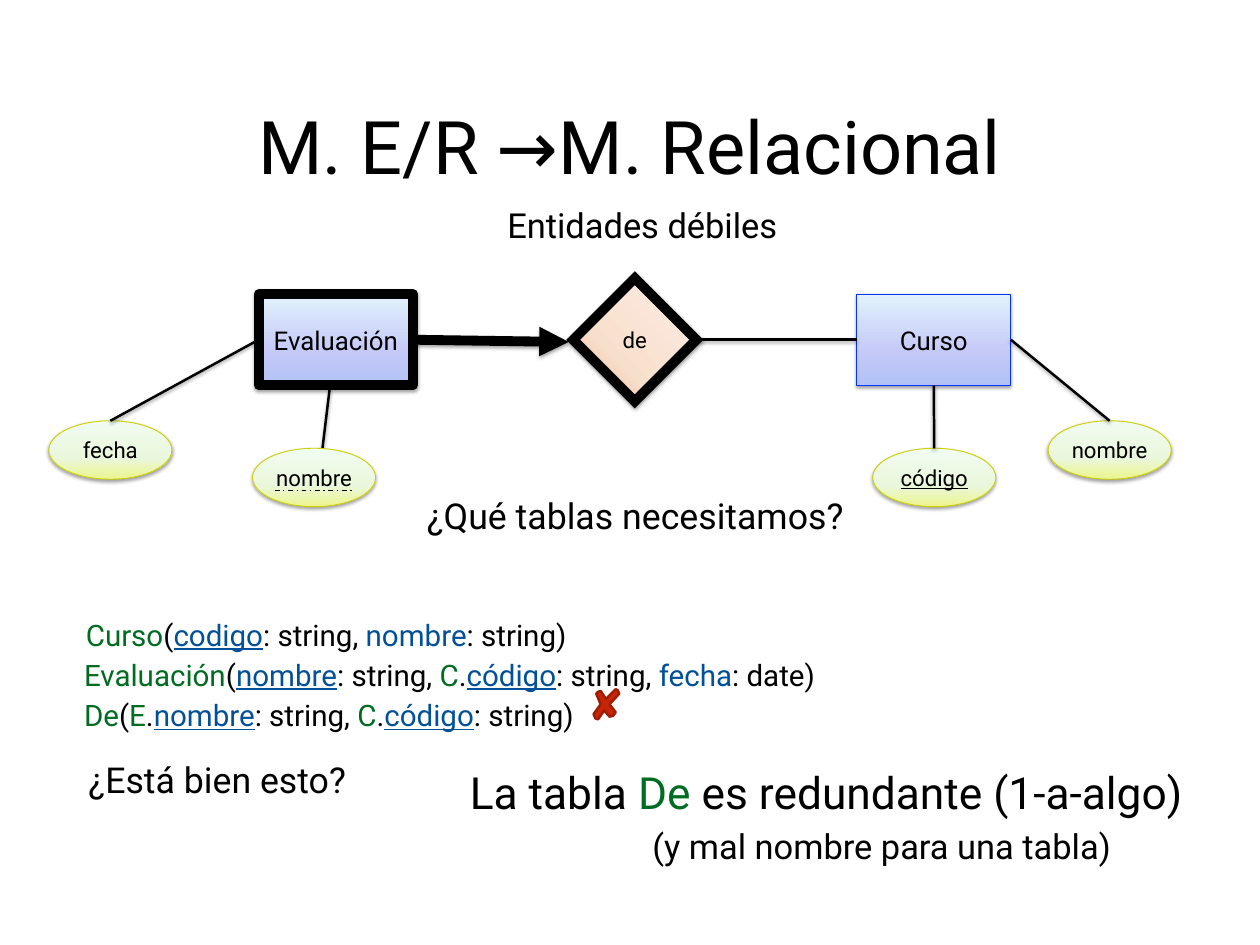
from dataclasses import dataclass

from lxml import etree
from pptx import Presentation
from pptx.dml.color import RGBColor
from pptx.enum.dml import MSO_LINE
from pptx.enum.shapes import MSO_CONNECTOR, MSO_SHAPE
from pptx.enum.text import MSO_ANCHOR, PP_ALIGN
from pptx.oxml.ns import qn
from pptx.util import Emu, Inches, Pt

RECT, OVAL, DIAMOND = MSO_SHAPE.RECTANGLE, MSO_SHAPE.OVAL, MSO_SHAPE.DIAMOND
STRAIGHT, DASH_DOT = MSO_CONNECTOR.STRAIGHT, MSO_LINE.DASH_DOT
TOP, MIDDLE = MSO_ANCHOR.TOP, MSO_ANCHOR.MIDDLE
LEFT, CENTER = PP_ALIGN.LEFT, PP_ALIGN.CENTER
SIDE_TOP, SIDE_LEFT, SIDE_BOTTOM, SIDE_RIGHT = range(4)

COLS, ROWS = 128, 96
CELL = Pt(8)
ENTITY_SIZE = (15.66, 9.27)
ATTRIBUTE_SIZE = (12.51, 5.94)
RELATION_SIZE = (12.51, 12.51)
CROSS = [(25, 0), (14, 11), (8, 2), (5, 3), (3, 5), (8, 17), (0, 28), (2, 33),
         (5, 34), (12, 24), (18, 31), (22, 30), (25, 26), (18, 17), (29, 5), (27, 1)]


@dataclass(frozen=True)
class Theme:
    font: str = "Roboto"
    ink: str = "000000"
    table: str = "006C22"
    field: str = "025099"
    entity_line: str = "0433FF"
    attribute_line: str = "CCCF00"
    cross: str = "C82506"
    cross_line: str = "A01D04"
    entity_fill: tuple = ((0, "B2C2F5"), (36, "C4C9F7"), (100, "E1F2FC"))
    relation_fill: tuple = ((0, "F5A09A"), (35, "F7E0CB"), (100, "FFEBE7"))
    attribute_fill: tuple = ((0, "ECF58E"), (36, "EAF7DC"), (100, "F1FCF1"))
    title: int = 60
    heading: int = 36
    question: int = 29
    subtitle: int = 28
    schema: int = 24
    entity: int = 21
    attribute: int = 18
    thin: float = 0.75
    dash: float = 1
    link: float = 2
    heavy: float = 8


T = Theme()


def cells(*values):
    return [Emu(round(v * CELL)) for v in values]


def plain(text):
    return text, T.ink, False


def table(text):
    return text, T.table, False


def field(text):
    return text, T.field, False


def key(text):
    return text, T.field, True


def add_runs(p, runs, size, align):
    p.alignment = align
    for text, color, underline in runs:
        r = p.add_run()
        r.text = text
        r.font.name = T.font
        r.font.size = Pt(size)
        r.font.color.rgb = RGBColor.from_string(color)
        r.font.underline = underline


def set_frame(tf, anchor, inset):
    tf.word_wrap = True
    tf.vertical_anchor = anchor
    tf.margin_left = tf.margin_right = Inches(inset)
    tf.margin_top = tf.margin_bottom = Inches(inset)


def set_line(sp, color, width):
    sp.line.color.rgb = RGBColor.from_string(color)
    sp.line.width = Pt(width)


def add_shadow(sp):
    spPr = sp._element.spPr
    effects = spPr.find(qn("a:effectLst"))
    if effects is None:
        effects = etree.SubElement(spPr, qn("a:effectLst"))
    outer = etree.SubElement(effects, qn("a:outerShdw"), blurRad=str(Pt(3)),
                             dist=str(Pt(1.6)), dir="5400000", rotWithShape="0")
    color = etree.SubElement(outer, qn("a:srgbClr"), val=T.ink)
    etree.SubElement(color, qn("a:alpha"), val="37000")


def set_gradient(sp, stops, angle):
    sp.fill.gradient()
    sp.fill.gradient_angle = angle
    gsLst = sp._element.spPr.find(".//" + qn("a:gsLst"))
    for gs in list(gsLst):
        gsLst.remove(gs)
    for share, color in stops:
        gs = etree.SubElement(gsLst, qn("a:gs"), pos=str(share * 1000))
        etree.SubElement(gs, qn("a:srgbClr"), val=color)


def add_node(s, kind, at, size, text, pt, stops, line, width, angle=90, underline=False):
    sp = s.shapes.add_shape(kind, *cells(*at, *size))
    sp.shadow.inherit = False
    set_gradient(sp, stops, angle)
    set_line(sp, line, width)
    join = qn("a:miter") if kind == DIAMOND else qn("a:round")
    etree.SubElement(sp.line._ln, join)
    add_shadow(sp)
    set_frame(sp.text_frame, MIDDLE, 0)
    add_runs(sp.text_frame.paragraphs[0], [(text, T.ink, underline)], pt, CENTER)
    return sp


def add_entity(s, at, text, line, width):
    return add_node(s, RECT, at, ENTITY_SIZE, text, T.entity, T.entity_fill, line, width)


def add_attribute(s, at, text, underline=False):
    return add_node(s, OVAL, at, ATTRIBUTE_SIZE, text, T.attribute,
                    T.attribute_fill, T.attribute_line, T.thin, underline=underline)


def add_link(s, width=T.link, start=(0, 0), end=(0, 0), begin_at=None, end_at=None):
    c = s.shapes.add_connector(STRAIGHT, *cells(*start, *end))
    if begin_at:
        c.begin_connect(*begin_at)
    if end_at:
        c.end_connect(*end_at)
    set_line(c, T.ink, width)
    return c


def add_text(s, at, size, paragraphs, anchor=TOP, inset=0.1, align=LEFT):
    tf = s.shapes.add_textbox(*cells(*at, *size)).text_frame
    set_frame(tf, anchor, inset)
    for i, (runs, pt) in enumerate(paragraphs):
        p = tf.paragraphs[0] if i == 0 else tf.add_paragraph()
        add_runs(p, runs, pt, align)
    return tf


def add_centered(s, at, size, paragraphs):
    return add_text(s, at, size, paragraphs, MIDDLE, 0.06, CENTER)


def add_cross(s, at):
    fb = s.shapes.build_freeform(*CROSS[0], scale=Inches(0.01))
    fb.add_line_segments(CROSS[1:], close=True)
    sp = fb.convert_to_shape(*cells(*at))
    sp.shadow.inherit = False
    sp.fill.solid()
    sp.fill.fore_color.rgb = RGBColor.from_string(T.cross)
    set_line(sp, T.cross_line, T.link)


def add_diagram(s):
    evaluacion = add_entity(s, (26.28, 29.88), "Evaluación", T.ink, T.heavy)
    de = add_node(s, DIAMOND, (58.23, 28.26), RELATION_SIZE, "de", T.attribute,
                  T.relation_fill, T.ink, T.heavy, angle=45)
    curso = add_entity(s, (87.03, 29.88), "Curso", T.entity_line, T.thin)
    arrow = add_link(s, T.heavy, end=(57.78, 34.74), begin_at=(evaluacion, SIDE_RIGHT))
    etree.SubElement(arrow.line._ln, qn("a:tailEnd"), type="triangle")
    partial_key = add_link(s, start=(32.4, 48.5), end=(33.48, 39.6))

    fecha = add_attribute(s, (4.95, 42.75), "fecha")
    add_attribute(s, (25.65, 45.54), "nombre")
    codigo = add_attribute(s, (88.65, 45.54), "código", underline=True)
    nombre = add_attribute(s, (106.47, 42.75), "nombre")
    joins = [((de, SIDE_RIGHT), (curso, SIDE_LEFT)),
             ((fecha, SIDE_TOP), (evaluacion, SIDE_LEFT)),
             ((curso, SIDE_RIGHT), (nombre, SIDE_TOP)),
             ((curso, SIDE_BOTTOM), (codigo, SIDE_TOP))]
    links = [add_link(s, begin_at=a, end_at=b) for a, b in joins]
    for c in [arrow, partial_key, *links]:
        add_shadow(c)
    underline = add_link(s, T.dash, (27.9, 49.86), (35.91, 49.86))
    underline.line.dash_style = DASH_DOT
    etree.SubElement(underline._element.spPr, qn("a:effectLst"))


def add_schemas(s):
    code = [table("C"), plain("."), key("código")]
    schemas = [
        ((7.83, 61.74), [table("Curso"), plain("("), key("codigo"), plain(": string, "),
                         field("nombre"), plain(": string)")]),
        ((7.65, 65.79), [table("Evaluación"), plain("("), key("nombre"), plain(": string, "),
                         *code, plain(": string, "), field("fecha"), plain(": date)")]),
        ((7.65, 69.93), [table("De"), plain("("), table("E"), plain("."), key("nombre"),
                         plain(": string, "), *code, plain(": string)")]),
    ]
    for at, runs in schemas:
        add_text(s, at, (77.58, 5.49), [(runs, T.schema)])


def main():
    prs = Presentation()
    prs.slide_width, prs.slide_height = cells(COLS, ROWS)
    s = prs.slides.add_slide(prs.slide_layouts[6])
    add_centered(s, (19.26, 9.81), (89.46, 9.9), [([plain("M. E/R →M. Relacional")], T.title)])
    add_centered(s, (35.73, 20.25), (59.04, 5.13), [([plain("Entidades débiles")], T.subtitle)])
    add_diagram(s)
    for at, text in [((42.48, 49.32), "¿Qué tablas necesitamos?"),
                     ((8.1, 76.05), "¿Está bien esto?")]:
        add_text(s, at, (45.54, 10.44), [([plain(text)], T.question)])
    add_schemas(s)
    add_cross(s, (60.3, 70.02))
    tf = add_centered(s, (44.37, 77.22), (79.11, 11.34), [
        ([plain("La tabla "), table("De "), plain("es redundante (1-a-algo)")], T.heading),
        ([plain("(y mal nombre para una tabla)")], T.subtitle)])
    p = tf.paragraphs[1]
    p.space_before = Pt(6)
    p._p.get_or_add_pPr().set("marL", str(Inches(1.25)))
    prs.save("out.pptx")


if __name__ == "__main__":
    main()
